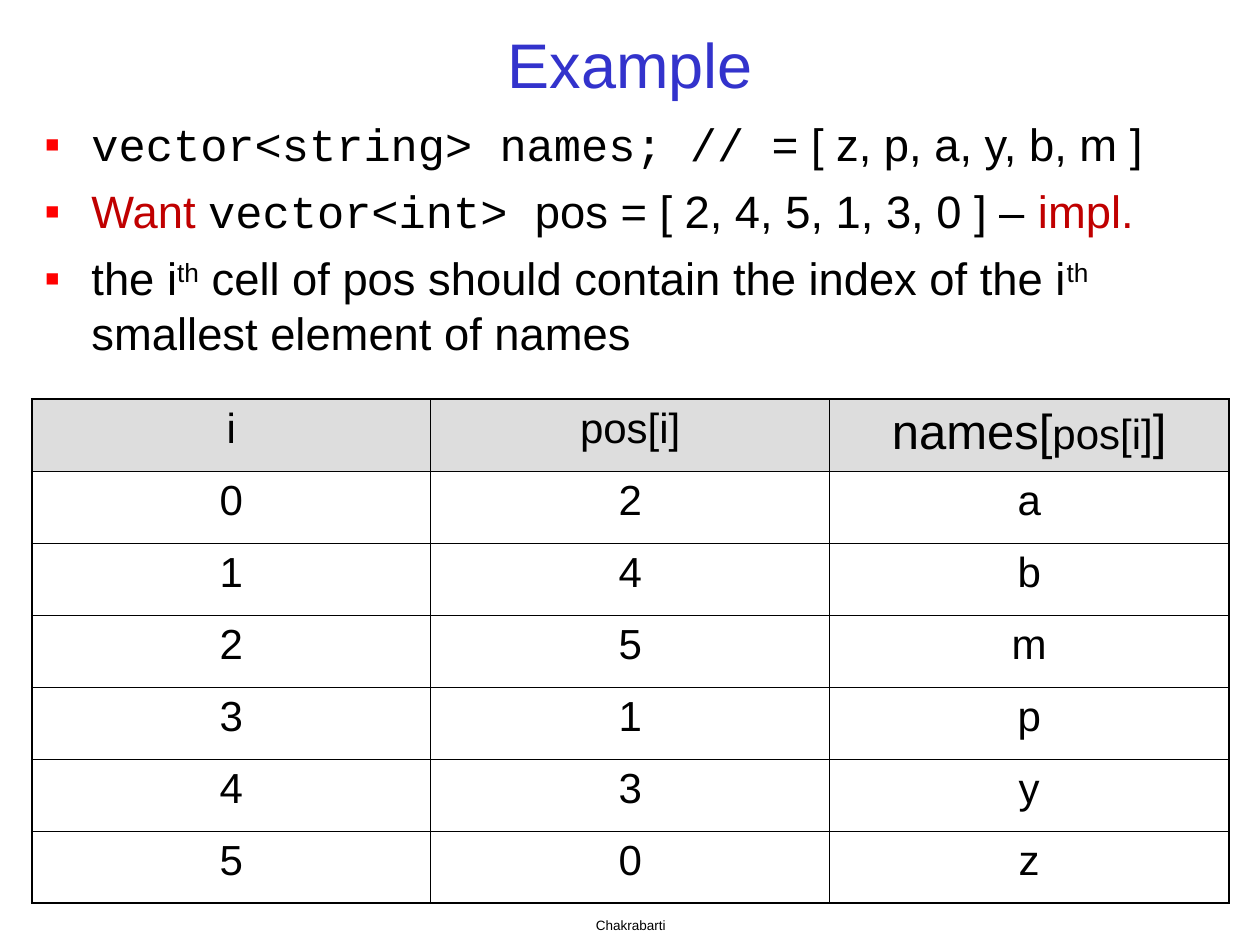
from typing import NamedTuple

from lxml import etree
from pptx import Presentation
from pptx.dml.color import RGBColor
from pptx.enum.text import MSO_ANCHOR, MSO_AUTO_SIZE, PP_ALIGN
from pptx.oxml.ns import qn
from pptx.util import Cm, Pt

CENTER = PP_ALIGN.CENTER
MIDDLE = MSO_ANCHOR.MIDDLE
TOP = MSO_ANCHOR.TOP
NO_FIT = MSO_AUTO_SIZE.NONE

SANS = "Arial"
MONO = "Courier New"
BLACK = "000000"
BLUE = "3333CC"
RED = "FF0000"
DARK_RED = "C00000"
GREY = "DDDDDD"

LEFT, WIDTH = 0.64, 24.13
THICK, THIN = 1.08, 0.45


class Run(NamedTuple):
    text: str
    font: str = SANS
    color: str = BLACK
    size: float = 25.9
    raised: bool = False


class Point(NamedTuple):
    runs: list[Run]
    lines: float = 1.0


POINTS = [
    Point([Run("vector<string> names; // ", font=MONO),
           Run("= [ z, p, a, y, b, m ]")], lines=0.9),
    Point([Run("Want ", color=DARK_RED),
           Run("vector<int> ", font=MONO),
           Run("pos = [ 2, 4, 5, 1, 3, 0 ] – "),
           Run("impl.", color=DARK_RED)]),
    Point([Run("the i"), Run("th", raised=True),
           Run(" cell of pos should contain the index of the i"),
           Run("th", raised=True),
           Run(" smallest element of names")]),
]

NAMES = ["z", "p", "a", "y", "b", "m"]
ORDER = [2, 4, 5, 1, 3, 0]
HEADS = [
    [Run("i", size=24)],
    [Run("pos[i]", size=24)],
    [Run("names[", size=28), Run("pos[i]", size=24), Run("]", size=28)],
]


def paint(code: str) -> RGBColor:
    return RGBColor.from_string(code)


def write(para, text: str, *, font: str = SANS, color: str = BLACK,
          size: float = 24, raised: bool = False) -> None:
    run = para.add_run()
    run.text = text
    run.font.name = font
    run.font.size = Pt(size)
    run.font.color.rgb = paint(color)
    if raised:
        run.font._element.set("baseline", "30000")


def write_all(para, runs: list[Run]) -> None:
    for run in runs:
        write(para, run.text, font=run.font, color=run.color,
              size=run.size, raised=run.raised)


def place(shape, left: float, top: float, width: float, height: float) -> None:
    shape.left, shape.top = Cm(left), Cm(top)
    shape.width, shape.height = Cm(width), Cm(height)


def add_bullet(para) -> None:
    props = para._p.get_or_add_pPr()
    props.set("marL", str(Cm(0.95)))
    props.set("indent", str(-Cm(0.95)))
    color = etree.SubElement(props, qn("a:buClr"))
    etree.SubElement(color, qn("a:srgbClr"), val=RED)
    etree.SubElement(props, qn("a:buFont"), typeface=SANS)
    etree.SubElement(props, qn("a:buChar"), char="▪")


def draw_title(shape) -> None:
    place(shape, LEFT, 0.43, WIDTH, 1.7)
    frame = shape.text_frame
    frame.auto_size = NO_FIT
    frame.vertical_anchor = MIDDLE
    para = frame.paragraphs[0]
    para.alignment = CENTER
    write(para, "Example", color=BLUE, size=36)


def draw_points(shape) -> None:
    place(shape, LEFT, 2.34, WIDTH, 5.72)
    frame = shape.text_frame
    frame.auto_size = NO_FIT
    frame.vertical_anchor = TOP
    for index, point in enumerate(POINTS):
        para = frame.add_paragraph() if index else frame.paragraphs[0]
        add_bullet(para)
        para.line_spacing = point.lines
        para.space_before = Pt(7 if index else 0)
        write_all(para, point.runs)


def add_edge(cell, slot: int, side: str, width: float) -> None:
    line = etree.Element(qn(f"a:ln{side}"), w=str(Pt(width)))
    fill = etree.SubElement(line, qn("a:solidFill"))
    etree.SubElement(fill, qn("a:srgbClr"), val=BLACK)
    cell._tc.get_or_add_tcPr().insert(slot, line)


def draw_table(slide) -> None:
    rows = [HEADS] + [
        [[Run(str(item), size=24)] for item in (i, pos, NAMES[pos])]
        for i, pos in enumerate(ORDER)
    ]
    last_row, last_col = len(rows) - 1, len(HEADS) - 1
    frame = slide.shapes.add_table(len(rows), len(HEADS), Cm(LEFT), Cm(8.05),
                                   Cm(WIDTH), Cm(10.16))
    table = frame.table
    table.first_row = table.horz_banding = False
    for r, row in enumerate(rows):
        for c, runs in enumerate(row):
            cell = table.cell(r, c)
            if r == 0:
                cell.fill.solid()
                cell.fill.fore_color.rgb = paint(GREY)
            else:
                cell.fill.background()
            outer = {"L": c == 0, "R": c == last_col,
                     "T": r == 0, "B": r == last_row}
            for slot, (side, edge) in enumerate(outer.items()):
                add_edge(cell, slot, side, THICK if edge else THIN)
            para = cell.text_frame.paragraphs[0]
            para.alignment = CENTER
            write_all(para, runs)


def draw_foot(slide) -> None:
    box = slide.shapes.add_textbox(Cm(8.69), Cm(18.42), Cm(8.05), Cm(0.64))
    box.text_frame.word_wrap = True
    para = box.text_frame.paragraphs[0]
    para.alignment = CENTER
    para.line_spacing = 0.8
    write(para, "Chakrabarti", size=7.7)


def main() -> None:
    deck = Presentation()
    deck.slide_width, deck.slide_height = Cm(25.4), Cm(19.05)
    slide = deck.slides.add_slide(deck.slide_layouts[1])
    draw_title(slide.shapes.title)
    draw_points(slide.placeholders[1])
    draw_table(slide)
    draw_foot(slide)
    deck.save("out.pptx")


if __name__ == "__main__":
    main()
